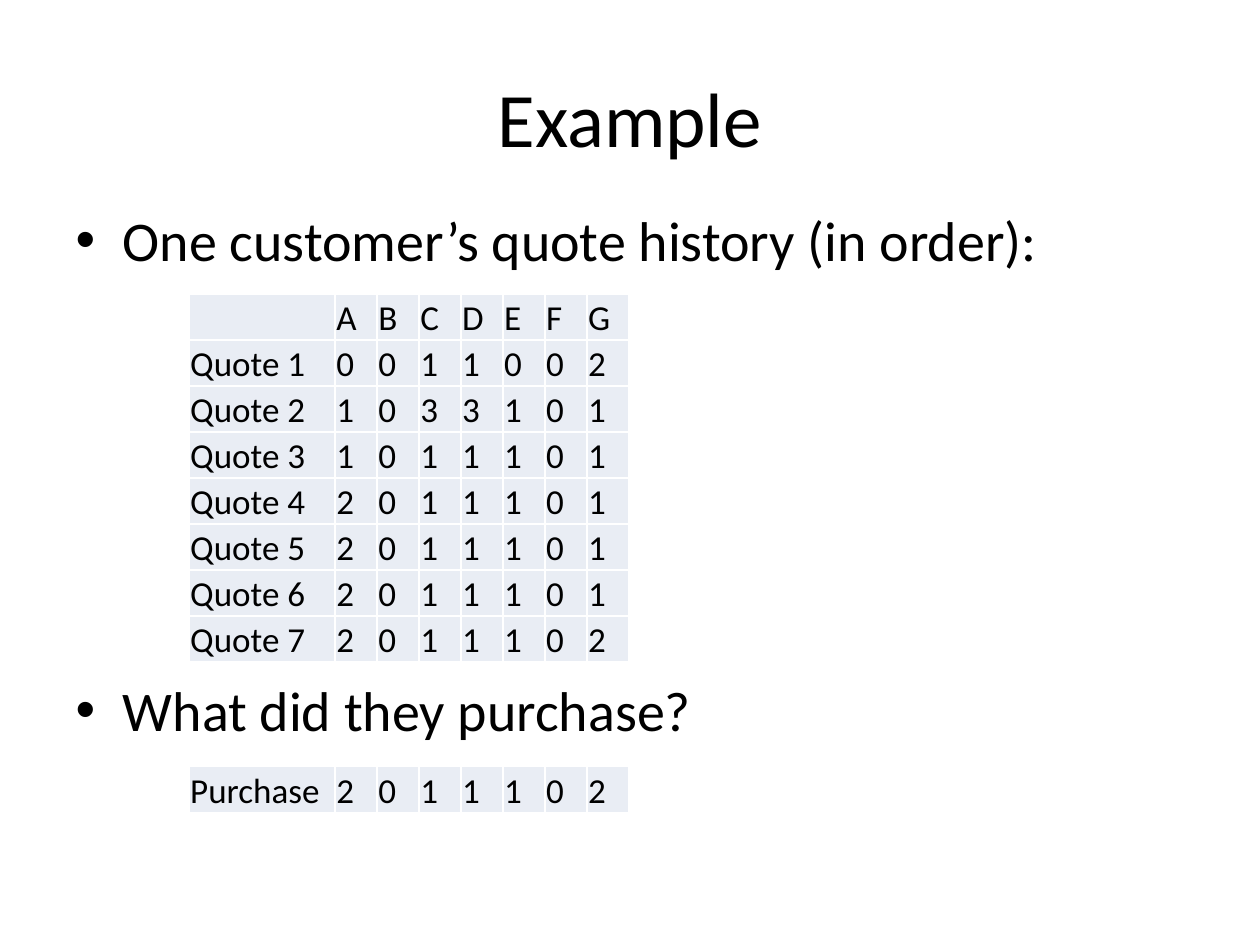
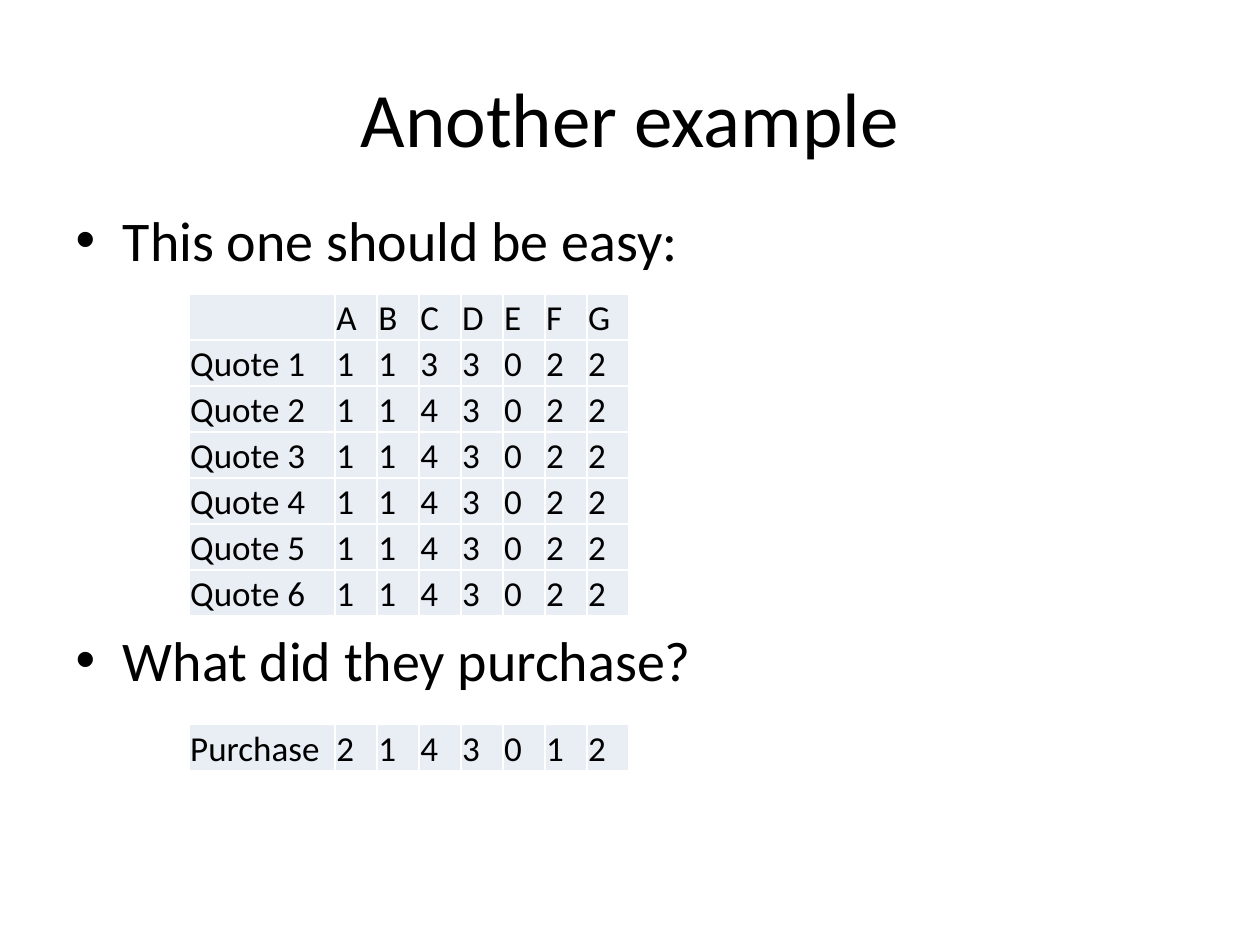
from pptx import Presentation
from pptx.dml.color import RGBColor
from pptx.enum.text import MSO_ANCHOR, MSO_AUTO_SIZE, PP_ALIGN
from pptx.util import Pt

BOTTOM, MIDDLE = MSO_ANCHOR.BOTTOM, MSO_ANCHOR.MIDDLE
CENTER = PP_ALIGN.CENTER
NO_AUTOFIT = MSO_AUTO_SIZE.NONE

FONT = "Calibri"
INK = "000000"
CELL_FILL = "E9EDF4"
TITLE_BOX = (36, 21.6, 648, 90)
BODY_BOX = (36, 113.76, 648, 368.64)
TABLE_LEFT, QUOTES_TOP = 108, 168
LABEL_WIDTH, OPTION_WIDTH, ROW_HEIGHT = 83.5, 24, 26.28
INSET = 0.72
OPTIONS = "ABCDEFG"
QUESTION = "What did they purchase?"

EXAMPLES = [
    {
        "title": "Example",
        "intro": "One customer’s quote history (in order):",
        "quotes": ["0011002", "1033101", "1011101", "2011101",
                   "2011101", "2011101", "2011102"],
        "purchase": "2011102",
        "question_gap": 230,
        "purchase_top": 438,
    },
    {
        "title": "Another example",
        "intro": "This one should be easy:",
        "quotes": ["1133022"] + ["1143022"] * 5,
        "purchase": "2143012",
        "question_gap": 201.5,
        "purchase_top": 414,
    },
]


def color(hex_code):
    """Turn a hex string into a colour."""
    return RGBColor.from_string(hex_code)


def style_font(paragraph, size):
    """Apply the shared font to a paragraph."""
    paragraph.font.name = FONT
    paragraph.font.size = Pt(size)
    paragraph.font.color.rgb = color(INK)


def place(placeholder, box):
    """Move and size a placeholder."""
    left, top, width, height = map(Pt, box)
    placeholder.left, placeholder.top = left, top
    placeholder.width, placeholder.height = width, height
    placeholder.text_frame.auto_size = NO_AUTOFIT


def add_title(slide, wording):
    """Fill the title placeholder."""
    title = slide.shapes.title
    place(title, TITLE_BOX)
    title.text_frame.text = wording
    title.text_frame.vertical_anchor = MIDDLE
    heading = title.text_frame.paragraphs[0]
    heading.alignment = CENTER
    style_font(heading, 44)


def add_bullets(slide, intro, question_gap):
    """Fill the body with the intro and, below a gap, the question."""
    body = slide.placeholders[1]
    place(body, BODY_BOX)
    body.text_frame.text = f"{intro}\n{QUESTION}"
    for bullet in body.text_frame.paragraphs:
        style_font(bullet, 32)
    body.text_frame.paragraphs[1].space_before = Pt(question_gap)


def fill_cell(cell, wording):
    """Write and format one table cell."""
    cell.text = wording
    cell.vertical_anchor = BOTTOM
    cell.margin_left = cell.margin_right = cell.margin_top = Pt(INSET)
    cell.margin_bottom = 0
    cell.fill.solid()
    cell.fill.fore_color.rgb = color(CELL_FILL)
    style_font(cell.text_frame.paragraphs[0], 20)


def add_option_table(slide, top, rows):
    """Add a table of labelled rows with one digit or letter per option."""
    widths = [LABEL_WIDTH] + [OPTION_WIDTH] * len(OPTIONS)
    table = slide.shapes.add_table(
        len(rows), len(widths), Pt(TABLE_LEFT), Pt(top),
        Pt(sum(widths)), Pt(ROW_HEIGHT * len(rows))).table
    table.first_row = table.horz_banding = False
    for column, width in zip(table.columns, widths):
        column.width = Pt(width)
    for table_row, (label, choices) in zip(table.rows, rows):
        table_row.height = Pt(ROW_HEIGHT)
        for cell, wording in zip(table_row.cells, [label, *choices]):
            fill_cell(cell, wording)


def add_example(deck, example):
    """Add a slide with a quote history and the resulting purchase."""
    slide = deck.slides.add_slide(deck.slide_layouts[1])
    add_title(slide, example["title"])
    add_bullets(slide, example["intro"], example["question_gap"])
    history = [(f"Quote {number}", choices)
               for number, choices in enumerate(example["quotes"], 1)]
    add_option_table(slide, QUOTES_TOP, [("", OPTIONS)] + history)
    add_option_table(slide, example["purchase_top"],
                     [("Purchase", example["purchase"])])


def main():
    """Build and save the deck."""
    deck = Presentation()
    deck.slide_width, deck.slide_height = Pt(720), Pt(540)
    for example in EXAMPLES:
        add_example(deck, example)
    deck.save("out.pptx")


if __name__ == "__main__":
    main()
